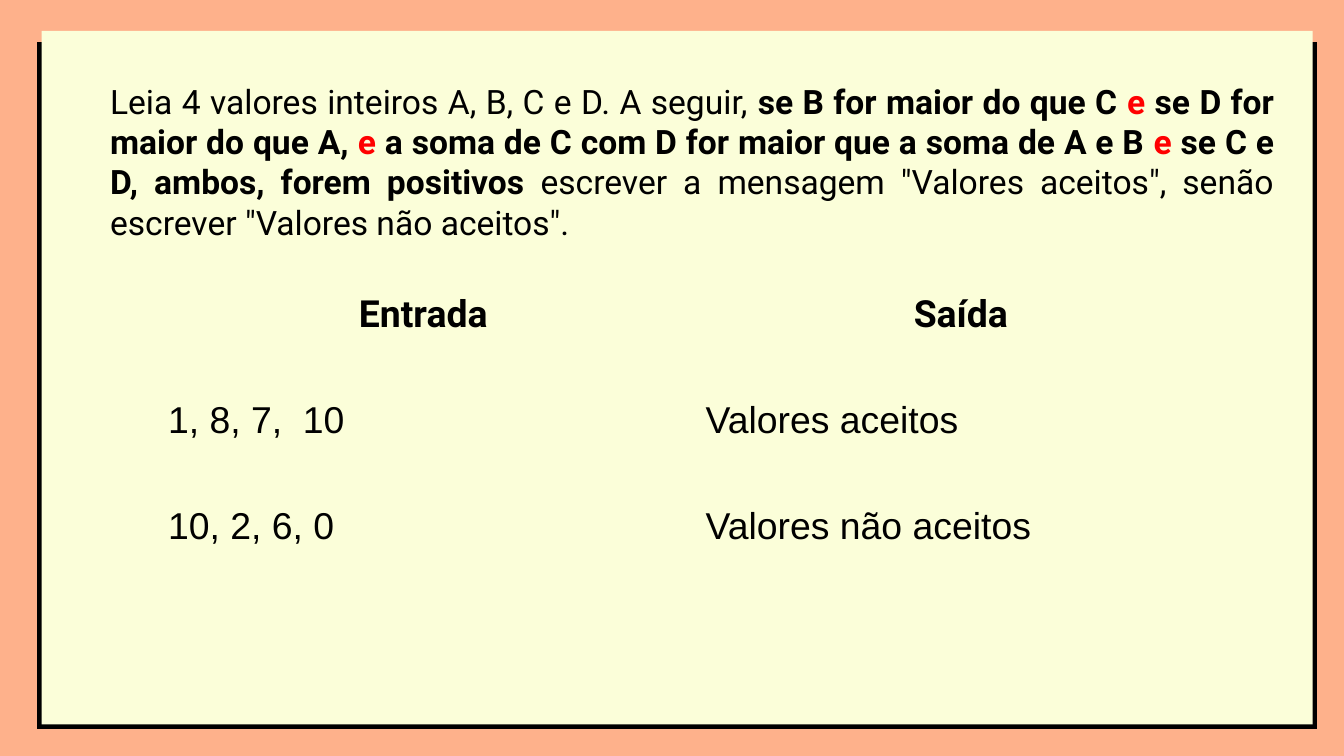
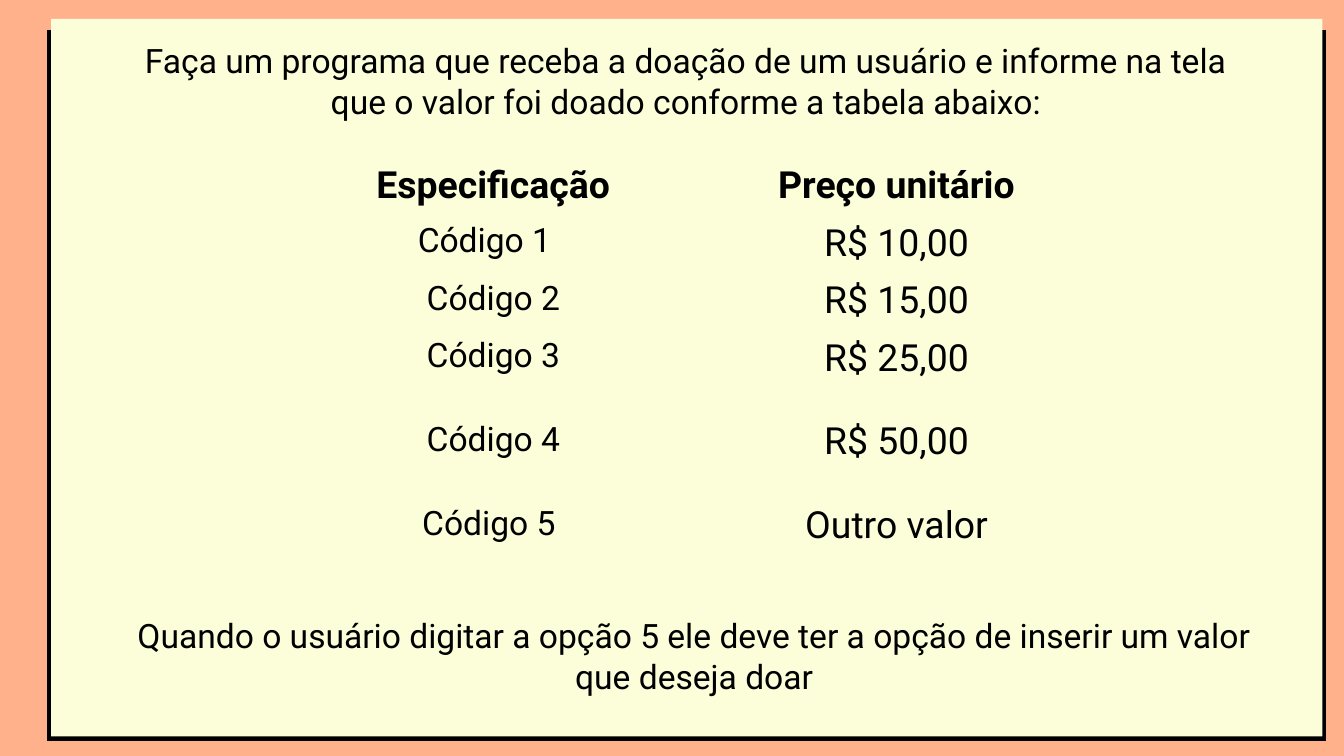
from collections import namedtuple

from lxml import etree
from pptx import Presentation
from pptx.dml.color import RGBColor
from pptx.enum.shapes import MSO_SHAPE
from pptx.enum.text import MSO_ANCHOR, PP_ALIGN
from pptx.oxml.ns import qn
from pptx.util import Pt

PEACH = RGBColor(0xFE, 0xB1, 0x8B)
CREAM = RGBColor(0xFB, 0xFE, 0xD9)
BLACK = RGBColor(0, 0, 0)
RED = RGBColor(0xFF, 0, 0)
HEAD_FONT, CELL_FONT = "Roboto", "Arial"
NO_GRID_STYLE = "{2D5ABB26-0587-4C30-8999-92F81FD0307C}"
SHADE_DROP = 8
TITLE_ONLY = 5

Box = namedtuple("Box", "left top width height")


def inside(box, dx, dy, width, height):
    """Return a box offset from the top left corner of another."""
    return Box(box.left + dx, box.top + dy, width, height)


def in_points(box):
    return [Pt(v) for v in box]


def add_run(p, text, size=18, font=HEAD_FONT, bold=False, color=BLACK):
    r = p.add_run()
    r.text = text
    r.font.size = Pt(size)
    r.font.name = font
    r.font.bold = bold
    r.font.color.rgb = color


def add_card(slide, box):
    """Draw the cream panel with its black outlined edge behind it."""
    group = slide.shapes.add_group_shape()
    edge_box = Box(box.left, box.top + SHADE_DROP, box.width, box.height - SHADE_DROP)
    edge, face = [group.shapes.add_shape(MSO_SHAPE.RECTANGLE, *in_points(b))
                  for b in (edge_box, box)]
    for sp in (edge, face):
        sp.shadow.inherit = False
        sp.fill.solid()
        sp.fill.fore_color.rgb = CREAM
    edge.line.color.rgb = BLACK
    edge.line.width = Pt(4.5)
    etree.SubElement(edge.line._get_or_add_ln(), qn("a:miter"), lim="800000")
    face.line.fill.background()


def new_slide(prs, card):
    slide = prs.slides.add_slide(prs.slide_layouts[TITLE_ONLY])
    slide.background.fill.solid()
    slide.background.fill.fore_color.rgb = PEACH
    add_card(slide, card)
    return slide


def fill_text(sp, runs, align):
    tf = sp.text_frame
    tf.word_wrap = True
    tf.vertical_anchor = MSO_ANCHOR.TOP
    p = tf.paragraphs[0]
    p.alignment = align
    for text, style in runs:
        add_run(p, text, **style)


def add_statement(slide, box, runs, align=PP_ALIGN.CENTER):
    """Place the title placeholder on top of the card."""
    title = slide.shapes.title
    title.left, title.top, title.width, title.height = in_points(box)
    slide.shapes._spTree.append(title._element)
    fill_text(title, runs, align)


def add_note(slide, box, text):
    fill_text(slide.shapes.add_textbox(*in_points(box)), [(text, {})], PP_ALIGN.CENTER)


def add_plain_table(slide, box, heights, rows, styles, align):
    """Add a table without grid; styles holds one run style per column."""
    cols = len(rows[0])
    table = slide.shapes.add_table(len(rows), cols, *in_points(box)).table
    table.first_row = table.horz_banding = False
    table._tbl.tblPr.find(qn("a:tableStyleId")).text = NO_GRID_STYLE
    for col in table.columns:
        col.width = Pt(box.width / cols)
    for i, (height, texts) in enumerate(zip(heights, rows)):
        table.rows[i].height = Pt(height)
        for j, text in enumerate(texts):
            cell = table.cell(i, j)
            cell.fill.background()
            p = cell.text_frame.paragraphs[0]
            p.alignment = PP_ALIGN.CENTER if i == 0 else align
            style = dict(size=20, bold=True) if i == 0 else styles[j]
            add_run(p, text, **style)
    return table


def build_conditions(prs):
    card = Box(22.3, 16.6, 681, 371.5)
    slide = new_slide(prs, card)
    bold, red = dict(bold=True), dict(bold=True, color=RED)
    add_statement(slide, inside(card, 29.5, 23, 638, 114), [
        ("Leia 4 valores inteiros A, B, C e D. A seguir, ", {}),
        ("se B for maior do que C ", bold),
        ("e ", red),
        ("se D for maior do que A, ", bold),
        ("e", red),
        (" a soma de C com D for maior que a soma de A e B ", bold),
        ("e", red),
        (" se C e D, ambos, forem positivos", bold),
        (' escrever a mensagem "Valores aceitos", senão escrever "Valores não aceitos".', {}),
    ], PP_ALIGN.JUSTIFY)
    rows = [("Entrada", "Saída"),
            ("1, 8, 7,  10", "Valores aceitos"),
            ("10, 2, 6, 0", "Valores não aceitos")]
    add_plain_table(slide, inside(card, 60.5, 136.8, 576, 171), [57] * 3, rows,
                    [dict(size=20, font=CELL_FONT)] * 2, PP_ALIGN.LEFT)


def build_donation(prs):
    card = Box(27.4, 10.1, 681, 384.5)
    slide = new_slide(prs, card)
    add_statement(slide, inside(card, 26.6, 7.9, 627, 51), [
        ("Faça um programa que receba a doação de um usuário e informe na tela "
         "que o valor foi doado conforme a tabela abaixo:", {})])
    prices = ["R$ 10,00", "R$ 15,00", "R$ 25,00", "R$ 50,00", "Outro valor"]
    rows = [("Especificação", "Preço unitário")]
    rows += [(f"Código {n}", price) for n, price in enumerate(prices, 1)]
    heights = [25.2, 25.2, 27.4] + [45] * 3
    table = add_plain_table(slide, inside(card, 128.9, 74.2, 432, sum(heights)), heights,
                            rows, [dict(size=18), dict(size=20)], PP_ALIGN.CENTER)
    for row, shift in ((1, 9.6), (5, 4.8)):
        table.cell(row, 0).margin_right = Pt(7.2 + shift)
    add_note(slide, inside(card, 31, 316, 627, 51),
             "Quando o usuário digitar a opção 5 ele deve ter a opção de inserir "
             "um valor que deseja doar")


def main():
    prs = Presentation()
    prs.slide_width, prs.slide_height = Pt(720), Pt(405)
    build_conditions(prs)
    build_donation(prs)
    prs.save("out.pptx")


if __name__ == "__main__":
    main()
